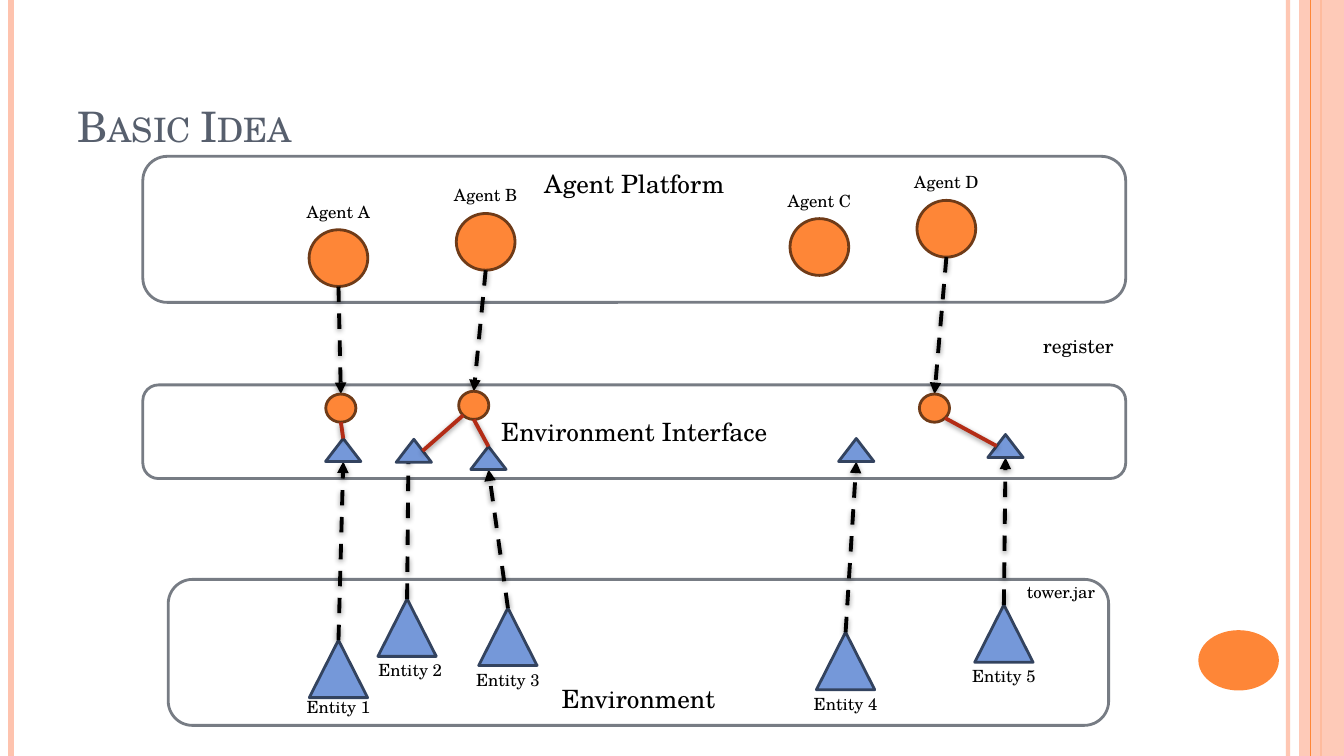
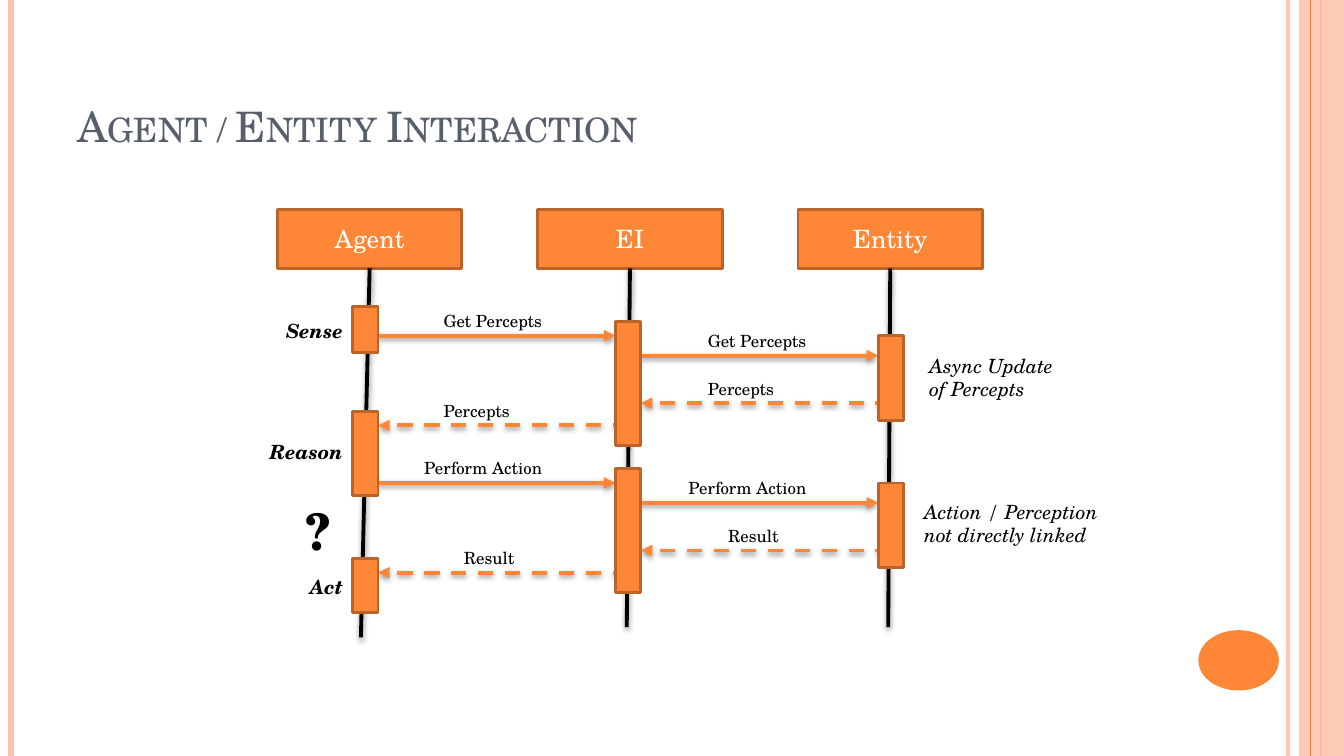
from dataclasses import dataclass

from lxml.etree import SubElement
from pptx import Presentation
from pptx.dml.color import RGBColor
from pptx.enum.dml import MSO_LINE
from pptx.enum.shapes import MSO_CONNECTOR, MSO_SHAPE as Preset
from pptx.enum.text import MSO_ANCHOR as Anchor, PP_ALIGN as Align
from pptx.oxml.ns import qn
from pptx.util import Cm, Pt


@dataclass(frozen=True)
class Theme:
    """Colours, font, type sizes and line widths of the deck."""

    font: str = "TeX Gyre Schola"
    title: str = "575F6D"
    text: str = "000000"
    paper: str = "FFFFFF"
    accent: str = "FE8637"
    peach: str = "FEC3AE"
    layer_edge: str = "777C84"
    agent_edge: str = "6F3B18"
    bar_edge: str = "BC6329"
    entity: str = "7598D9"
    entity_edge: str = "33435F"
    bond: str = "B32C16"
    title_size: float = 30
    mark_size: float = 36
    heading_size: float = 18
    note_size: float = 14
    label_size: float = 12
    edge: float = 2
    stroke: float = 2.75


@dataclass(frozen=True)
class Box:
    """A rectangle in centimetres."""

    left: float
    top: float
    width: float
    height: float

    def at(self, across, down):
        """Return the point at the given fractions of width and height."""
        return self.left + across * self.width, self.top + down * self.height

    def inner(self, left, top, width, height):
        """Return a box placed relative to this one."""
        return Box(self.left + left, self.top + top, width, height)

    def hung(self, center, top, width, height):
        """Return an inner box given by its horizontal centre."""
        return self.inner(center - width / 2, top, width, height)

    def lengths(self):
        """Return left, top, width and height as slide lengths."""
        return [Cm(v) for v in (self.left, self.top, self.width, self.height)]


THEME = Theme()
PAGE = Box(0, 0, 33.87, 19.05)
TITLE = Box(1.7, 0.76, 27.66, 3.18)
PLATFORM = Box(3.6, 3.94, 24.77, 3.68)
INTERFACE = Box(3.6, 9.7, 24.77, 2.36)
ENVIRONMENT = Box(4.24, 14.6, 23.7, 3.68)
SEQUENCE = Box(6.99, 5.28, 21, 11)

RULES = [(32.46, THEME.peach, 3, 93), (0.28, THEME.peach, 4.5, 100), (33.3, THEME.accent, 1.5, 100)]
AGENTS = {"A": (4.93, 1.85), "B": (8.64, 1.44), "C": (17.05, 1.57), "D": (20.25, 1.11)}
PROXIES = {"A": (4.99, 0.23), "B": (8.34, 0.16), "D": (19.95, 0.23)}
STUBS = {1: (5.05, 1.35), 2: (6.83, 1.37), 3: (8.71, 1.55), 4: (17.98, 1.35), 5: (21.74, 1.25)}
ENTITIES = {1: (4.29, 1.53), 2: (6.02, 0.49), 3: (8.56, 0.72), 4: (17.07, 1.33), 5: (21.06, 0.64)}
LABEL_SHIFTS = {1: (0, -0.15), 2: (0.08, -0.05)}
TIPS = {2: (0.35, 0.25)}
BOTTOM, TOP = (0.5, 1), (0.5, 0)
BONDS = [
    ("A", BOTTOM, 1, TOP),
    ("B", (0.15, 0.85), 2, (0.75, 0.5)),
    ("B", BOTTOM, 3, TOP),
    ("D", (0.85, 0.85), 5, (0.25, 0.5)),
]

LANE_STEP, BAR_STEP, CYCLE_STEP = 6.56, 6.62, 3.71
LANES = [("Agent", -0.22, 9.3), ("EI", -0.08, 9.04), ("Entity", -0.05, 9.04)]
AGENT_BARS = [(2.44, 1.17), (5.08, 2.13), (8.79, 1.37)]
CYCLE_BARS = [(1, 2.82, 3.12), (2, 3.18, 2.13)]
HOPS = [(0, 1, 3.18), (1, 2, 3.68), (2, 1, 4.88), (1, 0, 5.44)]
CYCLES = [
    (("Get Percepts", 3.94), ("Percepts", 3.94)),
    (("Perform Action", 3.45), ("Result", 4.45)),
]
STAGES = [("Sense", 2.62), ("Reason", 5.69), ("Act", 9.07)]
ASIDES = [
    ("Async Update\nof Percepts", 16.18, 3.51),
    ("Action / Perception\nnot directly linked", 16.05, 7.19),
]


def rgb(color):
    """Turn a hex string into a colour."""
    return RGBColor.from_string(color)


def set_opacity(fill, percent):
    """Make a solid fill partly transparent."""
    color = fill._xPr.find(qn("a:solidFill"))[0]
    SubElement(color, qn("a:alpha"), val=str(percent * 1000))


def write(shape, text, size=THEME.label_size, color=THEME.text, align=Align.LEFT,
          anchor=Anchor.TOP, bold=False, italic=False, small_caps=False):
    """Fill a shape with formatted text, one paragraph per line."""
    frame = shape.text_frame
    frame.word_wrap = True
    frame.vertical_anchor = anchor
    frame.text = text
    for paragraph in frame.paragraphs:
        paragraph.alignment = align
        for run in paragraph.runs:
            font = run.font
            font.name, font.size = THEME.font, Pt(size)
            font.bold, font.italic = bold, italic
            font.color.rgb = rgb(color)
            if small_caps:
                run._r.get_or_add_rPr().set("cap", "small")


def add_text(slide, box, text, **style):
    """Add a text box."""
    write(slide.shapes.add_textbox(*box.lengths()), text, **style)


def add_shape(slide, preset, box, fill, edge=None, opacity=100):
    """Add a flat preset shape."""
    shape = slide.shapes.add_shape(preset, *box.lengths())
    shape.shadow.inherit = False
    shape.fill.solid()
    shape.fill.fore_color.rgb = rgb(fill)
    if opacity < 100:
        set_opacity(shape.fill, opacity)
    if edge:
        shape.line.color.rgb = rgb(edge)
        shape.line.width = Pt(THEME.edge)
    else:
        shape.line.fill.background()
    return shape


def add_line(slide, start, end, color=THEME.text, width=THEME.stroke, dashed=False,
             arrow=False, shadow=True, opacity=100):
    """Add a straight line, with an arrowhead and a soft shadow if asked."""
    points = [Cm(v) for v in (*start, *end)]
    connector = slide.shapes.add_connector(MSO_CONNECTOR.STRAIGHT, *points)
    line = connector.line
    line.color.rgb = rgb(color)
    line.width = Pt(width)
    if opacity < 100:
        set_opacity(line.fill, opacity)
    if dashed:
        line.dash_style = MSO_LINE.DASH
    if arrow:
        SubElement(line._get_or_add_ln(), qn("a:tailEnd"), type="triangle")
    effects = SubElement(connector._element.spPr, qn("a:effectLst"))
    if shadow:
        cast = SubElement(effects, qn("a:outerShdw"), blurRad=str(Pt(4)), dist=str(Pt(1.6)),
                          dir="5400000", rotWithShape="0")
        tint = SubElement(cast, qn("a:srgbClr"), val=THEME.text)
        SubElement(tint, qn("a:alpha"), val="42000")


def add_rule(slide, box, x, color, width, opacity=100):
    """Add a vertical rule over the full height of the box."""
    add_line(slide, (box.left + x, box.top), (box.left + x, box.top + box.height), color, width,
             shadow=False, opacity=opacity)


def start_slide(presentation, title):
    """Add a slide with the side bands, the page disc and a title."""
    slide = presentation.slides.add_slide(presentation.slide_layouts[6])
    for rule in RULES:
        add_rule(slide, PAGE, *rule)
    add_shape(slide, Preset.RECTANGLE, PAGE.inner(32.74, 0, 1.13, PAGE.height), THEME.peach, opacity=87)
    add_rule(slide, PAGE, 33.02, THEME.accent, 0.75)
    add_shape(slide, Preset.OVAL, PAGE.inner(30.2, 15.88, 2.03, 1.52), THEME.accent)
    add_text(slide, TITLE, title, size=THEME.title_size, color=THEME.title,
             anchor=Anchor.BOTTOM, small_caps=True)
    return slide


def add_layer(slide, box, name, anchor):
    """Add one rounded layer with its name."""
    layer = add_shape(slide, Preset.ROUNDED_RECTANGLE, box, THEME.paper, THEME.layer_edge)
    write(layer, name, size=THEME.heading_size, align=Align.CENTER, anchor=anchor)


def add_environment(slide, box, stubs):
    """Add the environment with its entities, each pointing at its stub."""
    add_layer(slide, box, "Environment", Anchor.BOTTOM)
    for number, place in ENTITIES.items():
        entity = box.hung(*place, 1.47, 1.45)
        add_shape(slide, Preset.ISOSCELES_TRIANGLE, entity, THEME.entity, THEME.entity_edge)
        shift, drop = LABEL_SHIFTS.get(number, (0, -0.03))
        label = entity.hung(entity.width / 2 + shift, entity.height + drop, 2.4, 0.76)
        add_text(slide, label, f"Entity {number}", align=Align.CENTER)
        add_line(slide, entity.at(*TOP), stubs[number].at(*TIPS.get(number, BOTTOM)),
                 dashed=True, arrow=True)
    add_text(slide, box.inner(21.39, -0.07, 2.4, 0.76), "tower.jar")


def add_platform_agents(slide, box, proxies):
    """Add the agents, each registered one pointing at its proxy."""
    for name, place in AGENTS.items():
        agent = box.hung(*place, 1.48, 1.43)
        add_shape(slide, Preset.OVAL, agent, THEME.accent, THEME.agent_edge)
        add_text(slide, agent.hung(agent.width / 2, -0.84, 2.4, 0.76), f"Agent {name}",
                 align=Align.CENTER)
        if name in proxies:
            add_line(slide, agent.at(*BOTTOM), proxies[name].at(*TOP), dashed=True, arrow=True)


def add_interface_parts(slide, box, proxies, stubs):
    """Add the stubs, the proxies and the bonds between them."""
    for stub in stubs.values():
        add_shape(slide, Preset.ISOSCELES_TRIANGLE, stub, THEME.entity, THEME.entity_edge)
    for proxy in proxies.values():
        add_shape(slide, Preset.OVAL, proxy, THEME.accent, THEME.agent_edge)
    for name, start, number, end in BONDS:
        add_line(slide, proxies[name].at(*start), stubs[number].at(*end), THEME.bond)
    add_text(slide, box.inner(22.44, -1.42, 2.4, 0.86), "register", size=THEME.note_size)


def build_basic_idea(presentation):
    """Build the slide of the three layers."""
    slide = start_slide(presentation, "Basic Idea")
    proxies = {name: INTERFACE.hung(*place, 0.76, 0.71) for name, place in PROXIES.items()}
    stubs = {number: INTERFACE.hung(*place, 0.89, 0.58) for number, place in STUBS.items()}
    add_layer(slide, PLATFORM, "Agent Platform", Anchor.TOP)
    add_layer(slide, INTERFACE, "Environment Interface", Anchor.MIDDLE)
    add_environment(slide, ENVIRONMENT, stubs)
    add_platform_agents(slide, PLATFORM, proxies)
    add_interface_parts(slide, INTERFACE, proxies, stubs)


def add_lanes(slide, box):
    """Add the lane headers and their lifelines."""
    for index, (name, drift, length) in enumerate(LANES):
        header = box.inner(index * LANE_STEP, 0, 4.65, 1.48)
        shape = add_shape(slide, Preset.RECTANGLE, header, THEME.accent, THEME.bar_edge)
        write(shape, name, size=THEME.heading_size, color=THEME.paper, align=Align.CENTER,
              anchor=Anchor.MIDDLE)
        x, y = header.at(*BOTTOM)
        add_line(slide, (x, y), (x + drift, y + length))


def add_messages(slide, box):
    """Add the calls and the dashed replies of both cycles, with their labels."""
    for cycle, labels in enumerate(CYCLES):
        for source, target, height in HOPS:
            reply = source > target
            y = height + cycle * CYCLE_STEP
            start = box.inner(1.9 + source * BAR_STEP, y, 0.64, 0)
            end = box.inner(1.9 + target * BAR_STEP, y, 0.64, 0)
            add_line(slide, start.at(0.5, 0), end.at(int(reply), 0), THEME.accent,
                     dashed=reply, arrow=True)
            text, left = labels[reply]
            left += min(source, target) * 6.66
            add_text(slide, box.inner(left, y - 0.75, 3.6, 0.76), text)


def add_bars(slide, box):
    """Add the activation bars of all lanes."""
    bars = [(0, *bar) for bar in AGENT_BARS]
    bars += [(lane, top + cycle * CYCLE_STEP, height)
             for cycle in range(len(CYCLES)) for lane, top, height in CYCLE_BARS]
    for lane, top, height in bars:
        add_shape(slide, Preset.RECTANGLE, box.inner(1.9 + lane * BAR_STEP, top, 0.64, height),
                  THEME.accent, THEME.bar_edge)


def add_notes_beside(slide, box):
    """Add the stages on the left and the remarks on the right."""
    for text, top in STAGES:
        add_text(slide, box.inner(-1.1, top, 3, 0.86), text, size=THEME.note_size,
                 align=Align.RIGHT, bold=True, italic=True)
    add_text(slide, box.inner(0.46, 7.19, 1.3, 1.8), "?", size=THEME.mark_size, bold=True)
    for text, left, top in ASIDES:
        add_text(slide, box.inner(left, top, 5.2, 1.45), text, size=THEME.note_size, italic=True)


def build_interaction(presentation):
    """Build the slide of the message sequence."""
    slide = start_slide(presentation, "Agent / Entity Interaction")
    for add_part in (add_lanes, add_messages, add_bars, add_notes_beside):
        add_part(slide, SEQUENCE)


def main():
    """Build and save the presentation."""
    presentation = Presentation()
    presentation.slide_width, presentation.slide_height = Cm(PAGE.width), Cm(PAGE.height)
    build_basic_idea(presentation)
    build_interaction(presentation)
    presentation.save("out.pptx")


if __name__ == "__main__":
    main()
